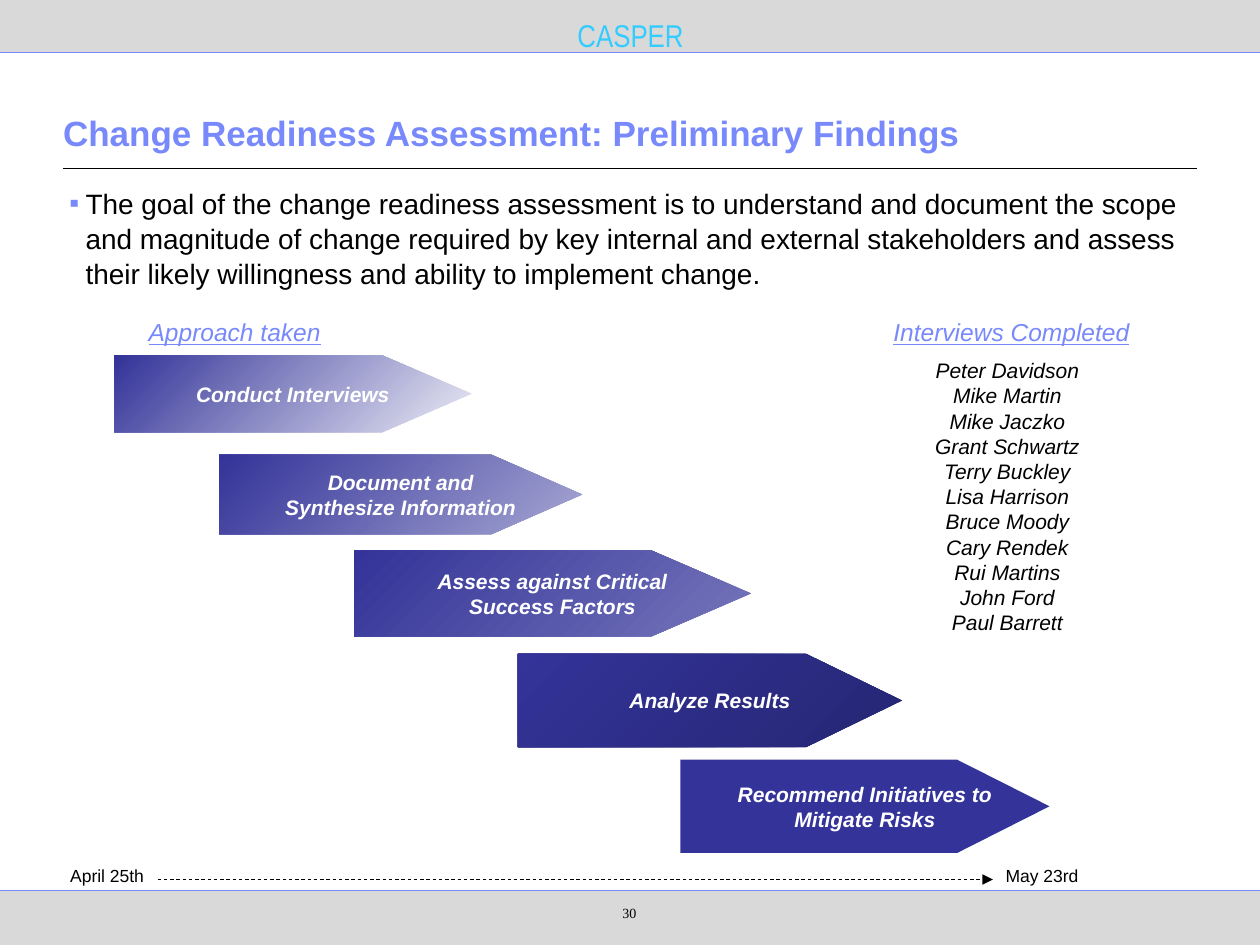
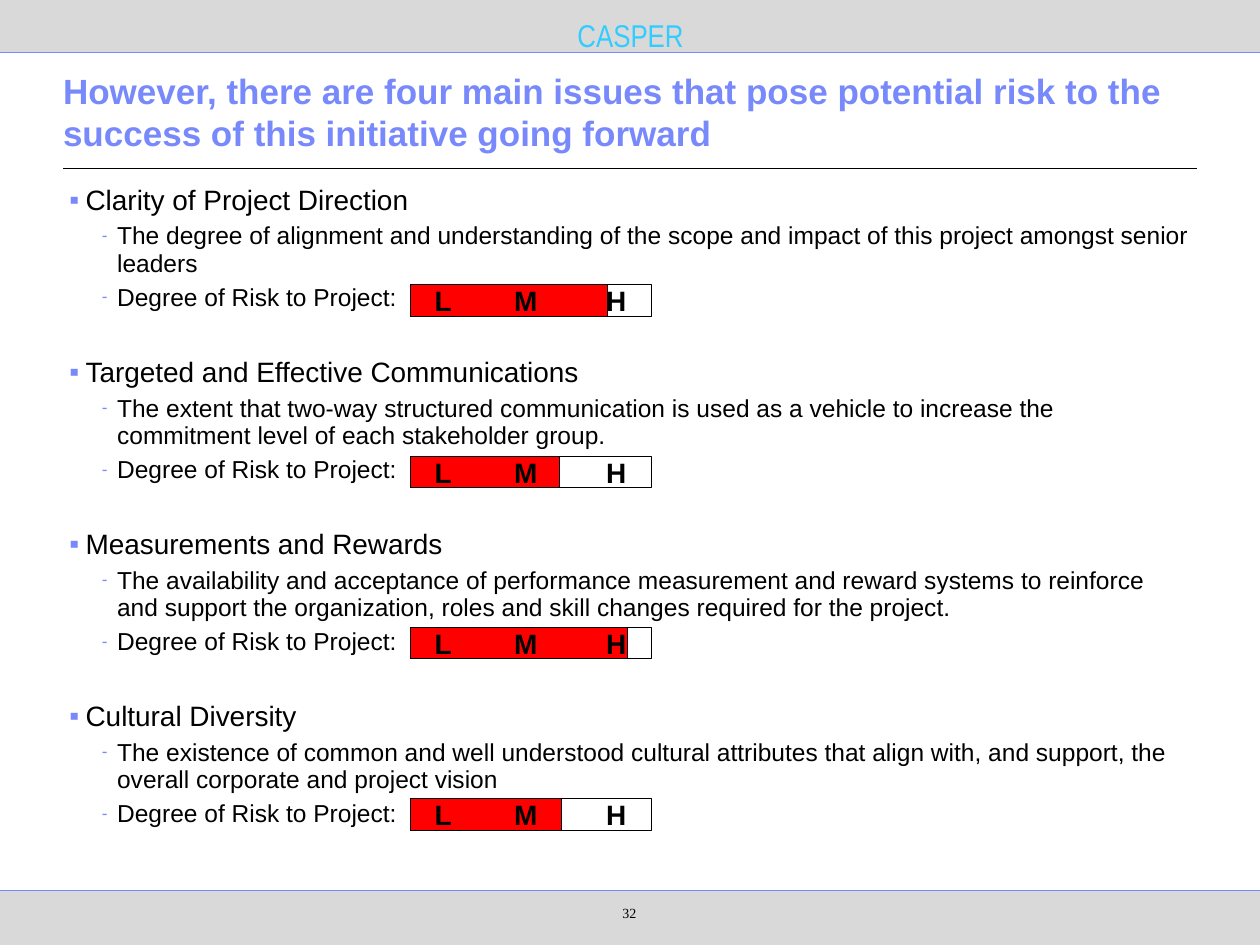
from dataclasses import dataclass
from typing import Optional

from lxml import etree
from pptx import Presentation
from pptx.dml.color import RGBColor
from pptx.enum.dml import MSO_LINE
from pptx.enum.shapes import MSO_CONNECTOR, MSO_SHAPE
from pptx.enum.text import MSO_ANCHOR, MSO_AUTO_SIZE, PP_ALIGN
from pptx.oxml.ns import qn
from pptx.util import Inches, Pt

LEFT, CENTER = PP_ALIGN.LEFT, PP_ALIGN.CENTER
TOP, MIDDLE, BOTTOM = MSO_ANCHOR.TOP, MSO_ANCHOR.MIDDLE, MSO_ANCHOR.BOTTOM
RECTANGLE, STRAIGHT, DASH = MSO_SHAPE.RECTANGLE, MSO_CONNECTOR.STRAIGHT, MSO_LINE.DASH


@dataclass(frozen=True)
class Theme:
    accent: str = "7889FB"
    band: str = "D9D9D9"
    project: str = "33CCFF"
    step: str = "333399"
    risk: str = "FF0000"
    text: str = "000000"
    light: str = "FFFFFF"
    font: str = "Arial"
    project_font: str = "Arial Narrow"
    number_font: str = "Times New Roman"
    title_size: float = 20
    project_size: float = 18
    body_size: float = 16
    detail_size: float = 14
    label_size: float = 12
    date_size: float = 10
    number_size: float = 8


@dataclass(frozen=True)
class Box:
    left: float
    top: float
    width: float
    height: float

    def emu(self) -> list:
        return [Inches(v) for v in (self.left, self.top, self.width, self.height)]


@dataclass(frozen=True)
class Bullet:
    mark: str
    indent: float
    hanging: float
    size_percent: int = 100


@dataclass(frozen=True)
class Step:
    label: str
    box: Box
    tip_color: Optional[str] = None


@dataclass(frozen=True)
class Issue:
    name: str
    detail: str
    risk_width: float


THEME = Theme()
SLIDE = Box(0, 0, 10, 7.5)
HEADER_BOTTOM, FOOTER_TOP = 0.42, 7.07
BODY = Box(0.5, 1.42, 9, 5.51)
PLAIN_MARGINS = (0.1, 0.05, 0.1, 0.05)
NARROW_MARGINS = (0.05, 0.05, 0.05, 0.05)
MAIN_BULLET = Bullet("▪", 0.13, 0.13)
DETAIL_BULLET = Bullet("-", 0.38, 0.12, 70)
STEP_HEAD_SHARE = 0.25
RISK_TOP, RISK_PITCH = 2.26, 1.36
RISK_LEFT, RISK_FULL_WIDTH, RISK_HEIGHT = 3.26, 1.91, 0.25
RISK_TABS = (0.63, 1.36)

GOAL = (
    "The goal of the change readiness assessment is to understand and document the scope "
    "and magnitude of change required by key internal and external stakeholders and assess "
    "their likely willingness and ability to implement change."
)
STEPS = [
    Step("Conduct Interviews", Box(0.91, 2.82, 2.83, 0.61), "EBEBF5"),
    Step("Document and\nSynthesize Information", Box(1.74, 3.61, 2.88, 0.63), "A6A6D3"),
    Step("Assess against Critical\nSuccess Factors", Box(2.81, 4.37, 3.15, 0.68), "7575BA"),
    Step("Analyze Results", Box(4.11, 5.19, 3.05, 0.74), "262674"),
    Step("Recommend Initiatives to\nMitigate Risks", Box(5.4, 6.03, 2.93, 0.74)),
]
INTERVIEWEES = [
    "Peter Davidson", "Mike Martin", "Mike Jaczko", "Grant Schwartz", "Terry Buckley",
    "Lisa Harrison", "Bruce Moody", "Cary Rendek", "Rui Martins", "John Ford", "Paul Barrett",
]
ISSUES = [
    Issue("Clarity of Project Direction",
          "The degree of alignment and understanding of the scope and impact of this project "
          "amongst senior leaders", 1.56),
    Issue("Targeted and Effective Communications",
          "The extent that two-way structured communication is used as a vehicle to increase "
          "the commitment level of each stakeholder group.", 1.18),
    Issue("Measurements and Rewards",
          "The availability and acceptance of performance measurement and reward systems to "
          "reinforce and support the organization, roles and skill changes required for the "
          "project.", 1.72),
    Issue("Cultural Diversity",
          "The existence of common and well understood cultural attributes that align with, "
          "and support, the overall corporate and project vision", 1.2),
]


def rgb(color: str) -> RGBColor:
    return RGBColor.from_string(color)


def child(parent, tag: str, **attributes):
    return etree.SubElement(parent, qn(tag), **attributes)


def add_bullet(paragraph, bullet: Bullet) -> None:
    props = paragraph._p.get_or_add_pPr()
    props.set("marL", str(Inches(bullet.indent)))
    props.set("indent", str(-Inches(bullet.hanging)))
    child(child(props, "a:buClr"), "a:srgbClr", val=THEME.accent)
    child(props, "a:buSzPct", val=str(bullet.size_percent * 1000))
    child(props, "a:buFont", typeface=THEME.font)
    child(props, "a:buChar", char=bullet.mark)


def write(frame, text: str, *, size: float, color: str = THEME.text, font: str = THEME.font,
          bold: bool = False, italic: bool = False, underline: bool = False, align=LEFT,
          line_spacing: Optional[float] = None, space_before: float = 0,
          bullet: Optional[Bullet] = None, tabs: tuple = ()) -> None:
    """Append one paragraph per line of text, filling an empty first paragraph."""
    for line in text.split("\n"):
        first = frame.paragraphs[0]
        paragraph = frame.add_paragraph() if first.runs else first
        paragraph.alignment = align
        paragraph.space_before = Pt(space_before)
        if line_spacing:
            paragraph.line_spacing = line_spacing
        if bullet:
            add_bullet(paragraph, bullet)
        if tabs:
            stops = child(paragraph._p.get_or_add_pPr(), "a:tabLst")
            for position in tabs:
                child(stops, "a:tab", pos=str(Inches(position)), algn="l")
        run = paragraph.add_run()
        run.text = line
        run.font.name, run.font.size = font, Pt(size)
        run.font.bold, run.font.italic, run.font.underline = bold, italic, underline
        run.font.color.rgb = rgb(color)


def set_frame(shape, margins: tuple = PLAIN_MARGINS, anchor=TOP, wrap: bool = True):
    frame = shape.text_frame
    frame.auto_size = MSO_AUTO_SIZE.NONE
    frame.word_wrap, frame.vertical_anchor = wrap, anchor
    (frame.margin_left, frame.margin_top,
     frame.margin_right, frame.margin_bottom) = [Inches(m) for m in margins]
    return frame


def add_text(slide, box: Box, text: str, *, margins: tuple = PLAIN_MARGINS, anchor=TOP,
             wrap: bool = True, **text_format):
    frame = set_frame(slide.shapes.add_textbox(*box.emu()), margins, anchor, wrap)
    write(frame, text, **text_format)
    return frame


def add_line(slide, left: float, right: float, y: float, color: str, width: float):
    line = slide.shapes.add_connector(
        STRAIGHT, Inches(left), Inches(y), Inches(right), Inches(y))
    line.line.color.rgb, line.line.width = rgb(color), Pt(width)
    child(line._element.spPr, "a:effectLst")
    return line


def add_rectangle(slide, box: Box, fill: Optional[str] = None, outline: Optional[str] = None):
    rectangle = slide.shapes.add_shape(RECTANGLE, *box.emu())
    rectangle.shadow.inherit = False
    if fill:
        rectangle.fill.solid()
        rectangle.fill.fore_color.rgb = rgb(fill)
    else:
        rectangle.fill.background()
    if outline:
        rectangle.line.color.rgb, rectangle.line.width = rgb(outline), Pt(0.5)
    else:
        rectangle.line.fill.background()
    return rectangle


def add_base_slide(deck, title: str, number: int):
    """Add a slide with the shared bands, rules, project name, title and page number."""
    slide = deck.slides.add_slide(deck.slide_layouts[5])
    add_rectangle(slide, Box(0, FOOTER_TOP, SLIDE.width, SLIDE.height - FOOTER_TOP), THEME.band)
    add_rectangle(slide, Box(0, 0, SLIDE.width, HEADER_BOTTOM), THEME.band)
    for y in (HEADER_BOTTOM, FOOTER_TOP):
        add_line(slide, 0, SLIDE.width, y, THEME.accent, 0.5)
    add_line(slide, 0.5, 9.5, 1.34, THEME.text, 0.75)
    add_text(slide, Box(4.62, 0.11, 0.77, 0.33), "CASPER", anchor=MIDDLE, wrap=False,
             size=THEME.project_size, color=THEME.project, font=THEME.project_font, align=CENTER)
    add_text(slide, Box(4.27, 7.11, 1.15, 0.35), str(number), margins=(0.4, 0.07, 0.1, 0.05),
             size=THEME.number_size, font=THEME.number_font, align=CENTER)
    heading = slide.shapes.title
    heading.left, heading.top, heading.width, heading.height = Box(0.5, 0.64, 9, 0.63).emu()
    write(set_frame(heading, (0, 0.05, 0, 0.05), BOTTOM), title,
          size=THEME.title_size, color=THEME.accent, bold=True)
    return slide


def add_step(slide, step: Step) -> None:
    left, top, width, height = step.box.emu()
    right, bottom = left + width, top + height
    shoulder = right - round(width * STEP_HEAD_SHARE)
    builder = slide.shapes.build_freeform(left, top)
    builder.add_line_segments(
        [(shoulder, top), (right, top + height // 2), (shoulder, bottom), (left, bottom)])
    arrow = builder.convert_to_shape()
    arrow.shadow.inherit = False
    arrow.line.fill.background()
    if step.tip_color:
        arrow.fill.gradient()
        arrow.fill.gradient_angle = 135
        for stop, color in zip(arrow.fill.gradient_stops, (step.tip_color, THEME.step)):
            stop.color.rgb = rgb(color)
    else:
        arrow.fill.solid()
        arrow.fill.fore_color.rgb = rgb(THEME.step)
    write(set_frame(arrow, anchor=MIDDLE, wrap=False), step.label, size=THEME.label_size,
          color=THEME.light, bold=True, italic=True, align=CENTER)


def add_risk_bar(slide, top: float, risk_width: float) -> None:
    add_rectangle(slide, Box(RISK_LEFT, top, risk_width, RISK_HEIGHT), THEME.risk, THEME.text)
    scale = add_rectangle(slide, Box(RISK_LEFT, top, RISK_FULL_WIDTH, RISK_HEIGHT),
                          outline=THEME.text)
    write(set_frame(scale, (0.19, 0.05, 0.1, 0.05), MIDDLE), "L\tM\tH",
          size=THEME.body_size, bold=True, tabs=RISK_TABS)


def build_approach(deck) -> None:
    slide = add_base_slide(deck, "Change Readiness Assessment: Preliminary Findings", 30)
    add_text(slide, BODY, GOAL, margins=NARROW_MARGINS, size=THEME.body_size,
             line_spacing=1.04, bullet=MAIN_BULLET)
    for caption, box in (("Approach taken", Box(1.13, 2.46, 1.76, 0.37)),
                         ("Interviews Completed", Box(7.04, 2.46, 2.22, 0.6))):
        add_text(slide, box, caption, margins=NARROW_MARGINS, size=THEME.detail_size,
                 color=THEME.accent, italic=True, underline=True, line_spacing=1.04)
    for step in STEPS:
        add_step(slide, step)
    add_text(slide, Box(7.32, 2.79, 1.35, 2.5), "\n".join(INTERVIEWEES), wrap=False,
             size=THEME.label_size, italic=True, align=CENTER)
    for date, left in (("April 25th", 0.46), ("May 23rd", 7.88)):
        add_text(slide, Box(left, 6.82, 0.78, 0.27), date, wrap=False,
                 size=THEME.date_size, align=CENTER)
    timeline = add_line(slide, 1.25, 7.88, 6.98, THEME.text, 0.5)
    timeline.line.dash_style = DASH
    child(timeline.line._get_or_add_ln(), "a:tailEnd", type="triangle")


def build_issues(deck) -> None:
    slide = add_base_slide(deck, "However, there are four main issues that pose potential risk "
                                 "to the success of this initiative going forward", 32)
    frame = set_frame(slide.shapes.add_textbox(*BODY.emu()), NARROW_MARGINS)
    for row, issue in enumerate(ISSUES):
        write(frame, issue.name, size=THEME.body_size, line_spacing=0.94,
              space_before=26 if row else 0, bullet=MAIN_BULLET)
        write(frame, f"{issue.detail}\nDegree of Risk to Project:", size=THEME.detail_size,
              line_spacing=0.94, space_before=3.5, bullet=DETAIL_BULLET)
        add_risk_bar(slide, RISK_TOP + row * RISK_PITCH, issue.risk_width)


def main() -> None:
    deck = Presentation()
    deck.slide_width, deck.slide_height = Inches(SLIDE.width), Inches(SLIDE.height)
    build_approach(deck)
    build_issues(deck)
    deck.save("out.pptx")


if __name__ == "__main__":
    main()
